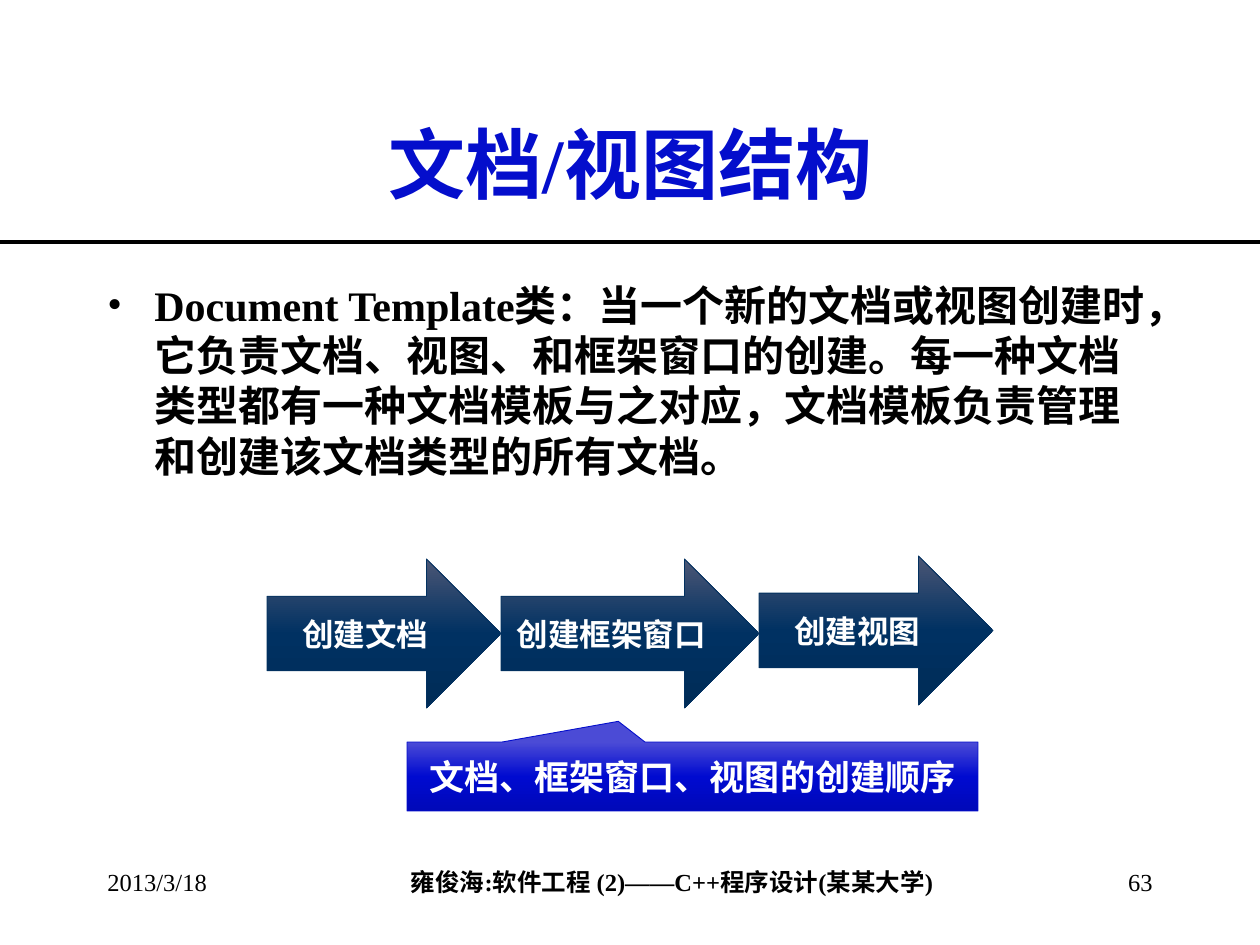
from dataclasses import dataclass

from lxml.etree import SubElement
from pptx import Presentation
from pptx.dml.color import RGBColor
from pptx.enum.shapes import MSO_CONNECTOR, MSO_SHAPE
from pptx.enum.text import MSO_ANCHOR as Anchor, PP_ALIGN as Align
from pptx.oxml.ns import qn
from pptx.util import Emu, Pt

PX_PER_INCH = 126
FONT = "Times New Roman"
BLACK, WHITE, BLUE, NAVY = "000000", "FFFFFF", "040ECC", "023160"
NAVY_STOPS = ("4B5675", "003162", "002C57")
BLUE_STOPS = ("4B4BD6", "000AD0", "0009B9")


@dataclass
class Box:
    left: int
    top: int
    width: int
    height: int

    def emu(self) -> list[Emu]:
        return [px(n) for n in (self.left, self.top, self.width, self.height)]


@dataclass
class Step:
    text: str
    box: Box


def px(length: int) -> Emu:
    return Emu(round(length * 914400 / PX_PER_INCH))


def colour(value: str) -> RGBColor:
    return RGBColor.from_string(value)


def write(shape, text: str, *, size: int, color: str = BLACK, bold: bool = True,
          align=Align.LEFT, anchor=Anchor.TOP):
    """Put one formatted paragraph into a shape and return it."""
    frame = shape.text_frame
    frame.word_wrap = True
    frame.vertical_anchor = anchor
    paragraph = frame.paragraphs[0]
    paragraph.alignment = align
    run = paragraph.add_run()
    run.text = text
    run.font.name = FONT
    run.font.size = Pt(size)
    run.font.bold = bold
    run.font.color.rgb = colour(color)
    return paragraph


def add_text(slide, box: Box, text: str, **text_format):
    return write(slide.shapes.add_textbox(*box.emu()), text, **text_format)


def add_bullet(paragraph, indent: int) -> None:
    properties = paragraph._p.get_or_add_pPr()
    properties.set("marL", str(px(indent)))
    properties.set("indent", str(-px(indent)))
    SubElement(properties, qn("a:buFont"), typeface=FONT)
    SubElement(properties, qn("a:buChar"), char="•")


def add_gradient_shape(slide, kind, box: Box, text: str, size: int,
                       stops: tuple[str, ...], outline: str):
    """Add a preset shape with a top-to-bottom gradient and a centred label."""
    shape = slide.shapes.add_shape(kind, *box.emu())
    shape.shadow.inherit = False
    shape.fill.gradient()
    shape.fill.gradient_angle = 270
    stop_list = shape._element.spPr.find(".//" + qn("a:gsLst"))
    for old_stop in list(stop_list):
        stop_list.remove(old_stop)
    for index, value in enumerate(stops):
        position = index * 100000 // (len(stops) - 1)
        stop = SubElement(stop_list, qn("a:gs"), pos=str(position))
        SubElement(stop, qn("a:srgbClr"), val=value)
    shape.line.color.rgb = colour(outline)
    shape.line.width = Pt(0.5)
    write(shape, text, size=size, color=WHITE, align=Align.CENTER, anchor=Anchor.MIDDLE)
    return shape


def add_rule(slide, top: int, width: int) -> None:
    rule = slide.shapes.add_connector(MSO_CONNECTOR.STRAIGHT, 0, px(top), px(width), px(top))
    rule.line.color.rgb = colour(BLACK)
    rule.line.width = Pt(2.25)
    SubElement(rule._element.spPr, qn("a:effectLst"))


STEPS = [
    Step("创建文档", Box(267, 559, 234, 149)),
    Step("创建框架窗口", Box(501, 559, 258, 149)),
    Step("创建视图", Box(759, 556, 234, 149)),
]


def main() -> None:
    presentation = Presentation()
    presentation.slide_width, presentation.slide_height = px(1260), px(945)
    slide = presentation.slides.add_slide(presentation.slide_layouts[6])

    # Title and rule
    add_rule(slide, 242, 1260)
    add_text(slide, Box(95, 84, 1071, 158), "文档/视图结构", size=44, color=BLUE,
             align=Align.CENTER, anchor=Anchor.MIDDLE)

    # Body
    body = add_text(
        slide, Box(95, 273, 1071, 567),
        "Document Template类：当一个新的文档或视图创建时，它负责文档、视图、和框架窗口的创建。"
        "每一种文档类型都有一种文档模板与之对应，文档模板负责管理和创建该文档类型的所有文档。",
        size=24)
    add_bullet(body, 47)

    # Creation order
    for step in STEPS:
        add_gradient_shape(slide, MSO_SHAPE.RIGHT_ARROW, step.box, step.text, 18,
                           NAVY_STOPS, NAVY)
    callout = add_gradient_shape(slide, MSO_SHAPE.RECTANGULAR_CALLOUT, Box(407, 742, 571, 69),
                                 "文档、框架窗口、视图的创建顺序", 20, BLUE_STOPS, BLUE)
    callout.adjustments[0] = -0.13
    callout.adjustments[1] = -0.8

    # Footer
    add_text(slide, Box(95, 861, 262, 63), "2013/3/18", size=14, bold=False)
    add_text(slide, Box(258, 861, 828, 42), "雍俊海:软件工程 (2)——C++程序设计(某某大学)",
             size=14, align=Align.CENTER)
    add_text(slide, Box(903, 861, 262, 63), "63", size=14, bold=False, align=Align.RIGHT)

    presentation.save("out.pptx")


if __name__ == "__main__":
    main()
